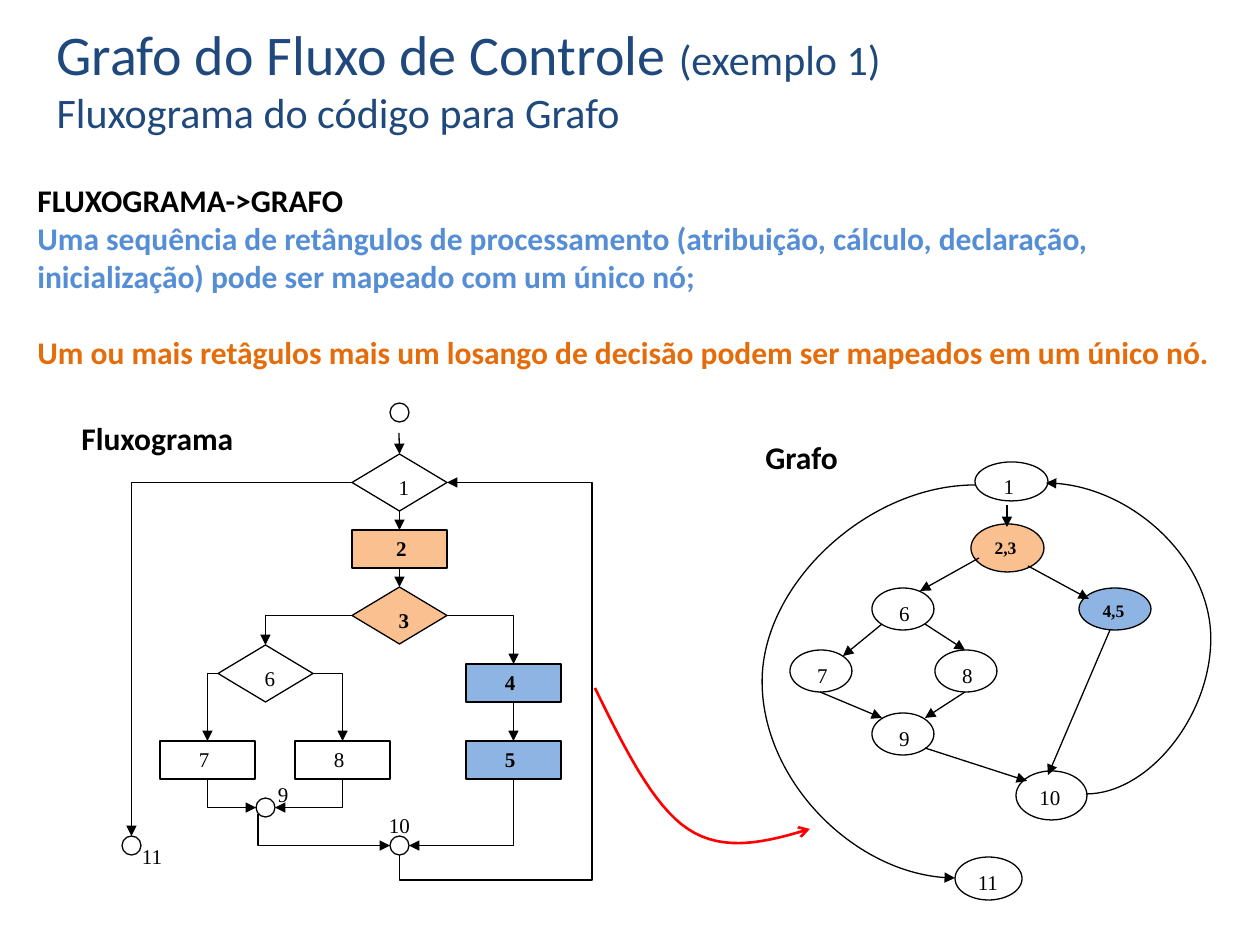
from dataclasses import dataclass

from lxml import etree
from pptx import Presentation
from pptx import util as u
from pptx.dml.color import RGBColor
from pptx.enum import shapes, text
from pptx.oxml.ns import qn

KIND = shapes.MSO_SHAPE
LINK = shapes.MSO_CONNECTOR


@dataclass(frozen=True)
class Theme:
    sans: str = "Calibri"
    serif: str = "Times New Roman"
    black: str = "000000"
    white: str = "FFFFFF"
    navy: str = "1F497D"
    sky: str = "558ED5"
    rust: str = "E46C0A"
    peach: str = "FAC090"
    blue: str = "8EB4E3"
    red: str = "FF0000"
    head: int = 32
    sub: int = 24
    body: int = 18
    node: int = 12
    pair: int = 10
    thin: float = 0.75
    thick: float = 1.5


T = Theme()


def px(n):
    """Turn px (126 to the inch) into EMU."""
    return u.Emu(round(n * 914400 / 126))


def rgb(code):
    return RGBColor.from_string(code)


def add_run(para, words, size, color=T.black, face=T.sans, bold=False):
    run = para.add_run()
    run.text = words
    font = run.font
    font.name, font.size, font.bold = face, u.Pt(size), bold
    font.color.rgb = rgb(color)


def set_pads(frame, left, top, right, low):
    frame.margin_left, frame.margin_top = px(left), px(top)
    frame.margin_right, frame.margin_bottom = px(right), px(low)


def add_box(slide, x, y, w, h, wrap=True):
    frame = slide.shapes.add_textbox(px(x), px(y), px(w), px(h)).text_frame
    frame.word_wrap = wrap
    return frame


def add_node(slide, kind, box, label="", pad=0, fill=T.white, size=T.node):
    """Draw an outlined node whose label starts pad px inside its text area."""
    node = slide.shapes.add_shape(kind, *map(px, box))
    node.shadow.inherit = False
    node.fill.solid()
    node.fill.fore_color.rgb = rgb(fill)
    node.line.color.rgb = rgb(T.black)
    node.line.width = u.Pt(T.thin)
    if label:
        frame = node.text_frame
        frame.word_wrap = True
        frame.vertical_anchor = text.MSO_ANCHOR.TOP
        set_pads(frame, pad, 6, 0, 6)
        para = frame.paragraphs[0]
        para.alignment = text.PP_ALIGN.LEFT
        add_run(para, label, size, face=T.serif, bold=fill != T.white)


def set_tip(item, color, width, tip):
    item.line.color.rgb = rgb(color)
    item.line.width = u.Pt(width)
    ln = item._element.spPr.find(qn("a:ln"))
    etree.SubElement(ln, qn("a:tailEnd"), type=tip)


def add_link(slide, start, end, kind=LINK.STRAIGHT):
    link = slide.shapes.add_connector(kind, *map(px, start + end))
    set_tip(link, T.black, T.thin, "triangle")
    etree.SubElement(link._element.spPr, qn("a:effectLst"))
    return link


def set_geom(link, name, *ratios):
    geom = link._element.spPr.find(qn("a:prstGeom"))
    geom.set("prst", name)
    guides = geom.find(qn("a:avLst"))
    if guides is None:
        guides = etree.SubElement(geom, qn("a:avLst"))
    for i, ratio in enumerate(ratios, 1):
        etree.SubElement(guides, qn("a:gd"), name=f"adj{i}", fmla=f"val {round(ratio * 100000)}")


def turn(link, start, end):
    """Rotate an elbow by 90 degrees so that it leaves its start vertically."""
    (x1, y1), (x2, y2) = start, end
    w, h = abs(y2 - y1), abs(x2 - x1)
    link.left, link.top = px((x1 + x2 - w) / 2), px((y1 + y2 - h) / 2)
    link.width, link.height = px(w), px(h)
    frame = link._element.spPr.find(qn("a:xfrm"))
    frame.set("rot", "5400000")
    frame.set("flipH", str(int(y2 < y1)))
    frame.set("flipV", str(int(x2 > x1)))


def add_elbow(slide, start, end, down=False):
    link = add_link(slide, start, end, LINK.ELBOW)
    set_geom(link, "bentConnector2")
    if down:
        turn(link, start, end)


def add_loop(slide, start, end, far, low):
    """Link that drops to low, runs out to far and comes back to its end."""
    link = add_link(slide, start, end, LINK.ELBOW)
    (x1, y1), (x2, y2) = start, end
    set_geom(link, "bentConnector4", (low - y1) / (y2 - y1), (far - x1) / (x2 - x1))
    turn(link, start, end)


def add_curve(slide, start, end, far):
    link = add_link(slide, start, end, LINK.CURVE)
    set_geom(link, "curvedConnector3", (far - start[0]) / (end[0] - start[0]))


def add_sweep(slide, curves, steps=16):
    """Draw joined cubic curves as one open red arrow."""
    dots = [curves[0][0]]
    for a, b, c, d in curves:
        for i in range(1, steps + 1):
            t = i / steps
            s = 1 - t
            dots.append(tuple(s**3 * p + 3 * s * s * t * q + 3 * s * t * t * r + t**3 * v
                              for p, q, r, v in zip(a, b, c, d)))
    pen = slide.shapes.build_freeform(*map(px, dots[0]))
    pen.add_line_segments([tuple(map(px, dot)) for dot in dots[1:]], close=False)
    sweep = pen.convert_to_shape()
    sweep.shadow.inherit = False
    sweep.fill.background()
    set_tip(sweep, T.red, T.thick, "arrow")


def side(box, edge):
    """Middle of the left, right, top or bottom edge (l, r, t, b)."""
    x, y, w, h = box
    return {"l": (x, y + h / 2), "r": (x + w, y + h / 2),
            "t": (x + w / 2, y), "b": (x + w / 2, y + h)}[edge]


def add_texts(slide):
    title = slide.shapes.title
    title.left, title.top, title.width, title.height = map(px, (44, 10, 999, 136))
    frame = title.text_frame
    frame.auto_size = text.MSO_AUTO_SIZE.NONE
    frame.vertical_anchor = text.MSO_ANCHOR.MIDDLE
    para = frame.paragraphs[0]
    para.alignment = text.PP_ALIGN.LEFT
    add_run(para, "Grafo do Fluxo de Controle ", T.head, T.navy)
    add_run(para, "(exemplo 1)", T.sub, T.navy)
    para.add_line_break()
    add_run(para, "Fluxograma do código para Grafo", T.sub, T.navy)

    frame = add_box(slide, 25, 175, 1224, 204)
    rules = [("FLUXOGRAMA->GRAFO", T.black, 0),
             ("Uma sequência de retângulos de processamento (atribuição, cálculo, declaração, "
              "inicialização) pode ser mapeado com um único nó;", T.sky, 0),
             ("Um ou mais retâgulos mais um losango de decisão podem ser mapeados em um único nó.",
              T.rust, 22)]
    for i, (words, color, gap) in enumerate(rules):
        para = frame.add_paragraph() if i else frame.paragraphs[0]
        para.space_before = u.Pt(gap)
        add_run(para, words, T.body, color, bold=True)
    for words, x, y, w in [("Fluxograma", 69, 413, 184), ("Grafo", 753, 432, 101)]:
        add_run(add_box(slide, x, y, w, 50, False).paragraphs[0], words, T.body, bold=True)


def add_flow(slide):
    boxes = {}
    for key, x, y, fill in [("1", 352, 454, T.white), ("3", 352, 587, T.peach),
                            ("6", 218, 645, T.white)]:
        boxes[key] = (x, y, 95, 57)
        add_node(slide, KIND.FLOWCHART_DECISION, boxes[key], key, 23, fill)
    for key, x, y, fill, pad in [("2", 352, 530, T.peach, 44), ("4", 466, 664, T.blue, 39),
                                 ("5", 466, 741, T.blue, 39), ("7", 160, 741, T.white, 39),
                                 ("8", 295, 741, T.white, 39)]:
        boxes[key] = (x, y, 95, 38)
        add_node(slide, KIND.FLOWCHART_PROCESS, boxes[key], key, pad, fill)
    for key, x, y in [("0", 390, 403), ("9", 256, 798), ("10", 390, 836), ("11", 122, 836)]:
        boxes[key] = (x, y, 19, 19)
        add_node(slide, KIND.FLOWCHART_CONNECTOR, boxes[key])
    for words, x, y, w in [("9", 263, 774, 38), ("10", 374, 805, 55), ("11", 127, 836, 55)]:
        frame = add_box(slide, x, y, w, 38)
        set_pads(frame, 15, 8, 15, 8)
        add_run(frame.paragraphs[0], words, T.node, face=T.serif)

    add_link(slide, (399, 433), side(boxes["1"], "t"))
    for a, b in ["12", "23", "45"]:
        add_link(slide, side(boxes[a], "b"), side(boxes[b], "t"))
    for a, edge, b in [("3", "r", "4"), ("3", "l", "6"), ("6", "l", "7"), ("6", "r", "8"),
                       ("1", "l", "11")]:
        add_elbow(slide, side(boxes[a], edge), side(boxes[b], "t"))
    for a, b, edge in [("7", "9", "l"), ("8", "9", "r"), ("5", "10", "r")]:
        add_elbow(slide, side(boxes[a], "b"), side(boxes[b], edge), True)
    add_elbow(slide, (258, 814), side(boxes["10"], "l"), True)
    add_loop(slide, side(boxes["10"], "b"), side(boxes["1"], "r"), 592, 880)


def add_graph(slide):
    for label, x, y in [("6", 872, 588), ("7", 790, 650), ("8", 935, 650), ("9", 872, 713)]:
        add_node(slide, KIND.OVAL, (x, y, 62, 42), label, 18)
    add_node(slide, KIND.OVAL, (975, 462, 73, 39), "1", 18)
    add_node(slide, KIND.OVAL, (1016, 771, 71, 49), "10", 13)
    add_node(slide, KIND.OVAL, (955, 857, 67, 43), "11", 13)
    add_node(slide, KIND.OVAL, (971, 524, 73, 48), "2,3", 13, T.peach, T.pair)
    add_node(slide, KIND.OVAL, (1079, 588, 72, 42), "4,5", 13, T.blue, T.pair)
    for start, end in [((1007, 505), (1007, 527)), ((979, 558), (920, 591)),
                       ((1028, 566), (1089, 599)), ((882, 624), (843, 656)),
                       ((925, 624), (965, 650)), ((820, 692), (882, 718)),
                       ((965, 692), (925, 718)), ((1110, 630), (1048, 775)),
                       ((925, 748), (1027, 781))]:
        add_link(slide, start, end)
    add_curve(slide, (1086, 794), (1046, 483), 1211)
    add_curve(slide, (975, 485), (955, 878), 762)


def main():
    deck = Presentation()
    deck.slide_width, deck.slide_height = px(1260), px(945)
    slide = deck.slides.add_slide(deck.slide_layouts[5])
    add_texts(slide)
    add_flow(slide)
    add_graph(slide)
    add_sweep(slide, [((595, 688), (624, 747), (653, 806), (688, 829)),
                      ((688, 829), (724, 853), (767, 842), (810, 829))])
    deck.save("out.pptx")


if __name__ == "__main__":
    main()
